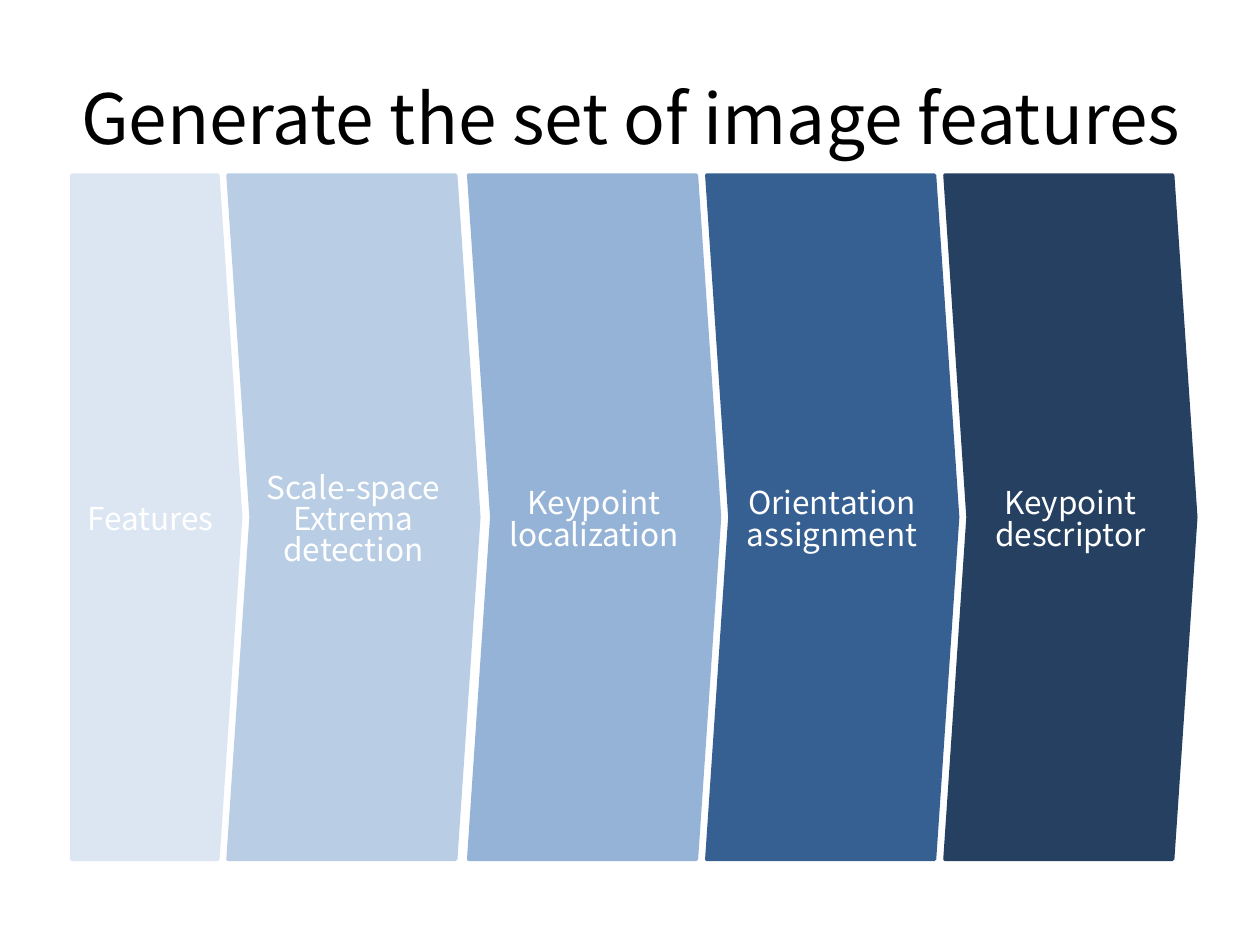
from dataclasses import dataclass

from pptx import Presentation
from pptx.dml.color import RGBColor
from pptx.enum.shapes import MSO_SHAPE as Shape
from pptx.enum.text import MSO_ANCHOR as Anchor, PP_ALIGN as Align
from pptx.slide import Slide
from pptx.text.text import TextFrame
from pptx.util import Inches, Pt

FONT = "Noto Sans CJK KR"
COLORS = {
    "title": "000000",
    "label": "FFFFFF",
    "features": "DCE6F2",
    "extrema": "B9CDE5",
    "localization": "95B3D7",
    "orientation": "376092",
    "descriptor": "254061",
}
STEP_TOP, STEP_HEIGHT = 1.39, 5.43


@dataclass(frozen=True)
class Step:
    left: float
    color: str
    lines: tuple[str, ...]
    width: float = 1.99
    shape: Shape = Shape.CHEVRON
    point: float = 0.092


STEPS = (
    Step(0.57, "features", ("Features",), 1.34, Shape.PENTAGON, 0.135),
    Step(1.81, "extrema", ("Scale-space", "Extrema", "detection")),
    Step(3.72, "localization", ("Keypoint", "localization")),
    Step(5.61, "orientation", ("Orientation", "assignment")),
    Step(7.5, "descriptor", ("Keypoint", "descriptor")),
)


def rgb(name: str) -> RGBColor:
    return RGBColor.from_string(COLORS[name])


def write_lines(tf: TextFrame, lines: tuple[str, ...], size: float,
                color: str, spacing: float = 1.0) -> None:
    """Fill a frame with centred paragraphs, one for each line."""
    tf.word_wrap = True
    tf.vertical_anchor = Anchor.MIDDLE
    for i, line in enumerate(lines):
        p = tf.paragraphs[0] if i == 0 else tf.add_paragraph()
        p.alignment = Align.CENTER
        p.line_spacing = spacing
        r = p.add_run()
        r.text = line
        r.font.name = FONT
        r.font.size = Pt(size)
        r.font.color.rgb = rgb(color)


def draw_title(s: Slide, text: str) -> None:
    sp = s.shapes.add_textbox(Inches(0.28), Inches(0.3), Inches(9.45), Inches(1.25))
    write_lines(sp.text_frame, (text,), 39.6, "title")


def draw_step(s: Slide, step: Step) -> None:
    sp = s.shapes.add_shape(step.shape, Inches(step.left), Inches(STEP_TOP),
                            Inches(step.width), Inches(STEP_HEIGHT))
    sp.adjustments[0] = step.point
    sp.shadow.inherit = False
    sp.fill.solid()
    sp.fill.fore_color.rgb = rgb(step.color)
    sp.line.color.rgb = rgb(step.color)
    sp.line.width = Pt(2)
    tf = sp.text_frame
    tf.margin_left = tf.margin_right = tf.margin_bottom = 0
    tf.margin_top = Inches(0.06)
    write_lines(tf, step.lines, 18, "label", 0.83)


def main() -> None:
    prs = Presentation()
    prs.slide_width, prs.slide_height = Inches(10), Inches(7.5)
    s = prs.slides.add_slide(prs.slide_layouts[6])
    draw_title(s, "Generate the set of image features")
    for step in STEPS:
        draw_step(s, step)
    prs.save("out.pptx")


if __name__ == "__main__":
    main()
